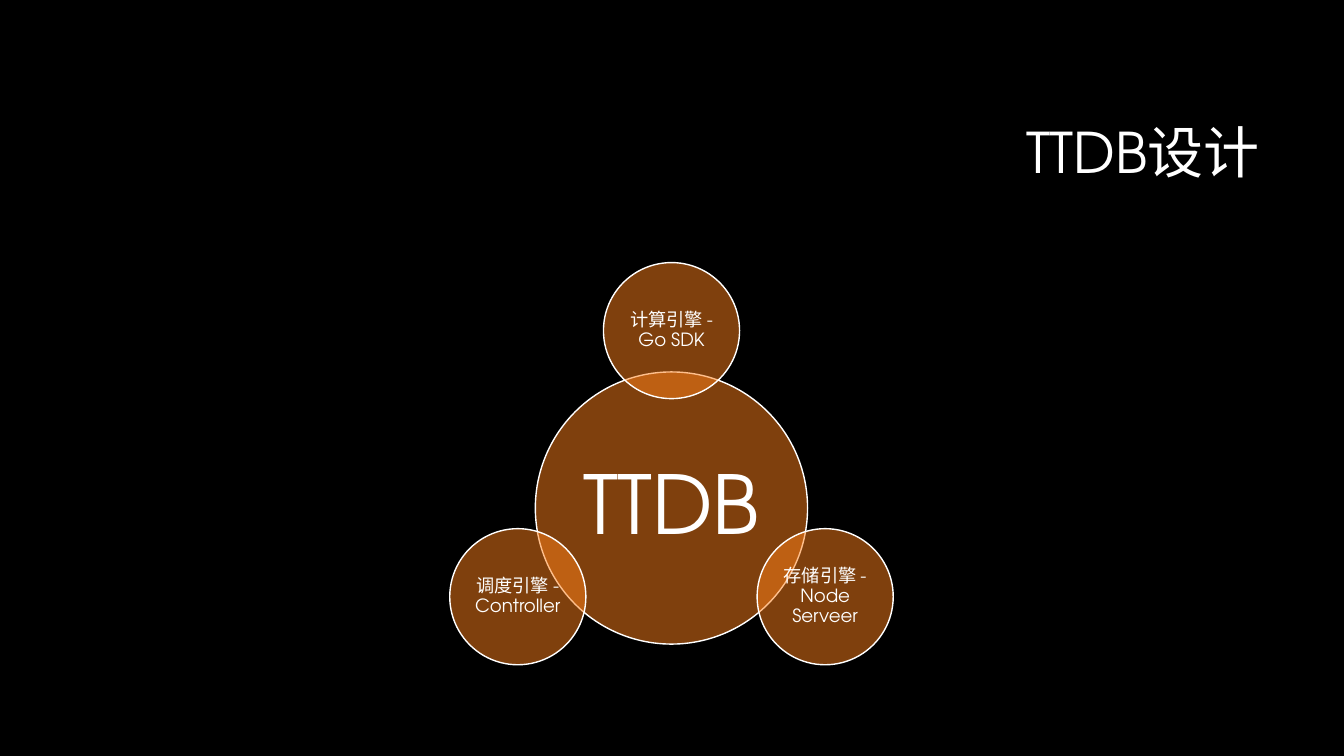
from dataclasses import dataclass
from math import cos, radians, sin

from lxml import etree
from pptx import Presentation
from pptx.dml.color import RGBColor
from pptx.enum.shapes import MSO_SHAPE
from pptx.enum.text import MSO_ANCHOR, PP_ALIGN
from pptx.oxml.ns import qn
from pptx.slide import Slide
from pptx.text.text import TextFrame
from pptx.util import Inches, Pt

OVAL = MSO_SHAPE.OVAL
MIDDLE = MSO_ANCHOR.MIDDLE
CENTER, RIGHT = PP_ALIGN.CENTER, PP_ALIGN.RIGHT

FONT = "TeX Gyre Adventor"
COLORS = {"background": "000000", "circle": "FE801A", "white": "FFFFFF"}
HUB_X, HUB_Y = 6.66, 5.04
ORBIT = 1.76


@dataclass
class Circle:
    text: str
    diameter: float
    size: int
    inset: float
    x: float = HUB_X
    y: float = HUB_Y


def color(name: str) -> RGBColor:
    return RGBColor.from_string(COLORS[name])


def write(tf: TextFrame, text: str, size: int, align: PP_ALIGN) -> None:
    tf.word_wrap = True
    tf.vertical_anchor = MIDDLE
    p = tf.paragraphs[0]
    p.alignment = align
    p.line_spacing = 0.9
    r = p.add_run()
    r.text = text
    r.font.name = FONT
    r.font.size = Pt(size)
    r.font.color.rgb = color("white")


def draw_circle(s: Slide, circle: Circle) -> None:
    radius = circle.diameter / 2
    sp = s.shapes.add_shape(
        OVAL, Inches(circle.x - radius), Inches(circle.y - radius),
        Inches(circle.diameter), Inches(circle.diameter))
    sp.shadow.inherit = False
    sp.fill.solid()
    sp.fill.fore_color.rgb = color("circle")
    rgb = sp.fill._xPr.find(qn("a:solidFill")).find(qn("a:srgbClr"))
    etree.SubElement(rgb, qn("a:alpha"), val="50000")
    sp.line.color.rgb = color("white")
    sp.line.width = Pt(1)
    tf = sp.text_frame
    tf.margin_left = tf.margin_right = Inches(circle.inset)
    tf.margin_top = tf.margin_bottom = Inches(circle.inset)
    write(tf, circle.text, circle.size, CENTER)


def satellite(text: str, angle: float) -> Circle:
    """Place a small circle on the orbit, clockwise from the right."""
    turn = radians(angle)
    return Circle(text, 1.35, 13, 0.02,
                  HUB_X + ORBIT * cos(turn), HUB_Y + ORBIT * sin(turn))


def main() -> None:
    prs = Presentation()
    prs.slide_width, prs.slide_height = Inches(13.33), Inches(7.5)
    s = prs.slides.add_slide(prs.slide_layouts[5])
    s.background.fill.solid()
    s.background.fill.fore_color.rgb = color("background")

    title = s.shapes.title
    title.left, title.top = Inches(3.17), Inches(0.84)
    title.width, title.height = Inches(9.42), Inches(1.41)
    write(title.text_frame, "TTDB设计", 40, RIGHT)

    draw_circle(s, Circle("TTDB", 2.7, 58, 0.08))
    engines = ["计算引擎 - Go SDK", "存储引擎 - Node Serveer", "调度引擎 - Controller"]
    for i, engine in enumerate(engines):
        draw_circle(s, satellite(engine, -90 + i * 360 / len(engines)))

    prs.save("out.pptx")


if __name__ == "__main__":
    main()
